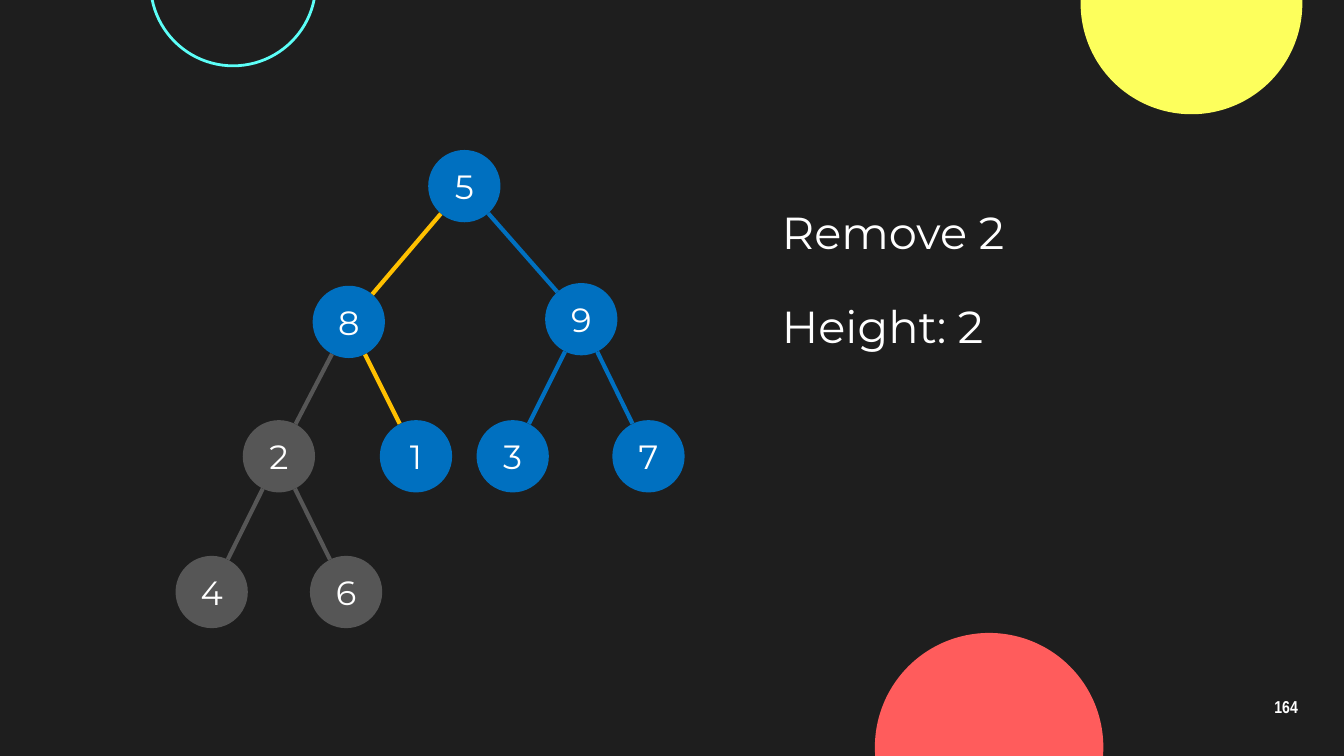
from dataclasses import dataclass
from math import dist

from lxml.etree import SubElement
from pptx import Presentation
from pptx.dml.color import RGBColor
from pptx.enum.shapes import MSO_CONNECTOR, MSO_SHAPE
from pptx.enum.text import MSO_ANCHOR, PP_ALIGN
from pptx.oxml.ns import qn
from pptx.util import Inches, Pt

COLORS = {
    "background": "1E1E1E",
    "yellow": "FDFF5C",
    "cyan": "5CFFF8",
    "coral": "FF5C5C",
    "blue": "0070C0",
    "gray": "565656",
    "amber": "FFC000",
    "white": "FFFFFF",
}
SLIDE_WIDTH = Inches(10)
SLIDE_HEIGHT = SLIDE_WIDTH * 9 // 16
NODE_SIZE = 0.51
EDGE_GAP = 0.27
MARGINS = ("margin_left", "margin_right", "margin_top", "margin_bottom")


@dataclass
class Circle:
    left: float
    top: float
    size: float
    fill: str | None
    line: str | None = None
    line_width: float = 0


@dataclass
class Node:
    left: float
    top: float
    color: str = "blue"

    @property
    def center(self) -> tuple[float, float]:
        return self.left + NODE_SIZE / 2, self.top + NODE_SIZE / 2


@dataclass
class Edge:
    parent: str
    child: str
    color: str


@dataclass
class Label:
    text: str
    left: float
    top: float
    width: float
    height: float
    frame_format: dict
    paragraph_format: dict
    font_format: dict


DECORATIONS = [
    Circle(8.04, -0.8, 1.65, "yellow"),
    Circle(1.12, -0.74, 1.23, None, "cyan", 1.5),
    Circle(6.51, 4.71, 1.7, "coral"),
]
NODES = {
    "5": Node(3.2, 1.13),
    "9": Node(4.07, 2.12),
    "7": Node(4.57, 3.14),
    "3": Node(3.56, 3.14),
    "1": Node(2.84, 3.14),
    "2": Node(1.82, 3.14, "gray"),
    "4": Node(1.32, 4.15, "gray"),
    "6": Node(2.32, 4.15, "gray"),
    "8": Node(2.34, 2.14),
}
EDGES = [
    Edge("5", "8", "amber"),
    Edge("5", "9", "blue"),
    Edge("9", "7", "blue"),
    Edge("9", "3", "blue"),
    Edge("8", "1", "amber"),
    Edge("8", "2", "gray"),
    Edge("2", "6", "gray"),
    Edge("2", "4", "gray"),
]
NODE_FRAME = {"vertical_anchor": MSO_ANCHOR.MIDDLE} | dict.fromkeys(MARGINS, 0)
NODE_FONT = {"name": "Montserrat", "size": Pt(18)}
TEXT_FRAME = {"word_wrap": True} | dict.fromkeys(MARGINS, Inches(0.1))
CENTERED = {"alignment": PP_ALIGN.CENTER}
STATUS_FONT = {"name": "Montserrat", "size": Pt(24)}
LABELS = [
    Label("164", 9.27, 5.1, 0.6, 0.34,
          TEXT_FRAME | {"vertical_anchor": MSO_ANCHOR.MIDDLE},
          CENTERED | {"line_spacing": 0.9},
          {"name": "Arial Narrow", "size": Pt(9.2), "bold": True}),
    Label("Remove 2", 5.72, 1.42, 3, 0.51, TEXT_FRAME, {}, STATUS_FONT),
    Label("Height: 2", 5.72, 2.12, 3, 0.51, TEXT_FRAME, {}, STATUS_FONT),
]


def color(name: str) -> RGBColor:
    return RGBColor.from_string(COLORS[name])


def apply(target, values: dict) -> None:
    for name, value in values.items():
        setattr(target, name, value)


def write(frame, text: str, frame_format: dict, paragraph_format: dict,
          font_format: dict) -> None:
    apply(frame, frame_format)
    para = frame.paragraphs[0]
    apply(para, paragraph_format)
    span = para.add_run()
    span.text = text
    apply(span.font, font_format)
    span.font.color.rgb = color("white")


def draw_circle(page, circle: Circle):
    shape = page.shapes.add_shape(
        MSO_SHAPE.OVAL, Inches(circle.left), Inches(circle.top),
        Inches(circle.size), Inches(circle.size))
    shape.shadow.inherit = False
    if circle.fill:
        shape.fill.solid()
        shape.fill.fore_color.rgb = color(circle.fill)
    else:
        shape.fill.background()
    if circle.line:
        shape.line.color.rgb = color(circle.line)
        shape.line.width = Pt(circle.line_width)
    else:
        shape.line.fill.background()
    return shape


def draw_node(page, value: str, node: Node) -> None:
    shape = draw_circle(page, Circle(node.left, node.top, NODE_SIZE,
                                     node.color, node.color, 2))
    write(shape.text_frame, value, NODE_FRAME, CENTERED, NODE_FONT)


def draw_edge(page, edge: Edge) -> None:
    start, end = NODES[edge.parent].center, NODES[edge.child].center
    share = EDGE_GAP / dist(start, end)
    shift_x, shift_y = ((b - a) * share for a, b in zip(start, end))
    line = page.shapes.add_connector(
        MSO_CONNECTOR.STRAIGHT,
        Inches(start[0] + shift_x), Inches(start[1] + shift_y),
        Inches(end[0] - shift_x), Inches(end[1] - shift_y))
    line.line.color.rgb = color(edge.color)
    line.line.width = Pt(2.25)
    SubElement(line._element.spPr, qn("a:effectLst"))


def draw_label(page, label: Label) -> None:
    box = page.shapes.add_textbox(Inches(label.left), Inches(label.top),
                                  Inches(label.width), Inches(label.height))
    write(box.text_frame, label.text, label.frame_format,
          label.paragraph_format, label.font_format)


def main() -> None:
    deck = Presentation()
    apply(deck, {"slide_width": SLIDE_WIDTH, "slide_height": SLIDE_HEIGHT})
    page = deck.slides.add_slide(deck.slide_layouts[6])
    page.background.fill.solid()
    page.background.fill.fore_color.rgb = color("background")
    for circle in DECORATIONS:
        draw_circle(page, circle)
    for value, node in NODES.items():
        draw_node(page, value, node)
    for edge in EDGES:
        draw_edge(page, edge)
    for label in LABELS:
        draw_label(page, label)
    deck.save("out.pptx")


if __name__ == "__main__":
    main()
